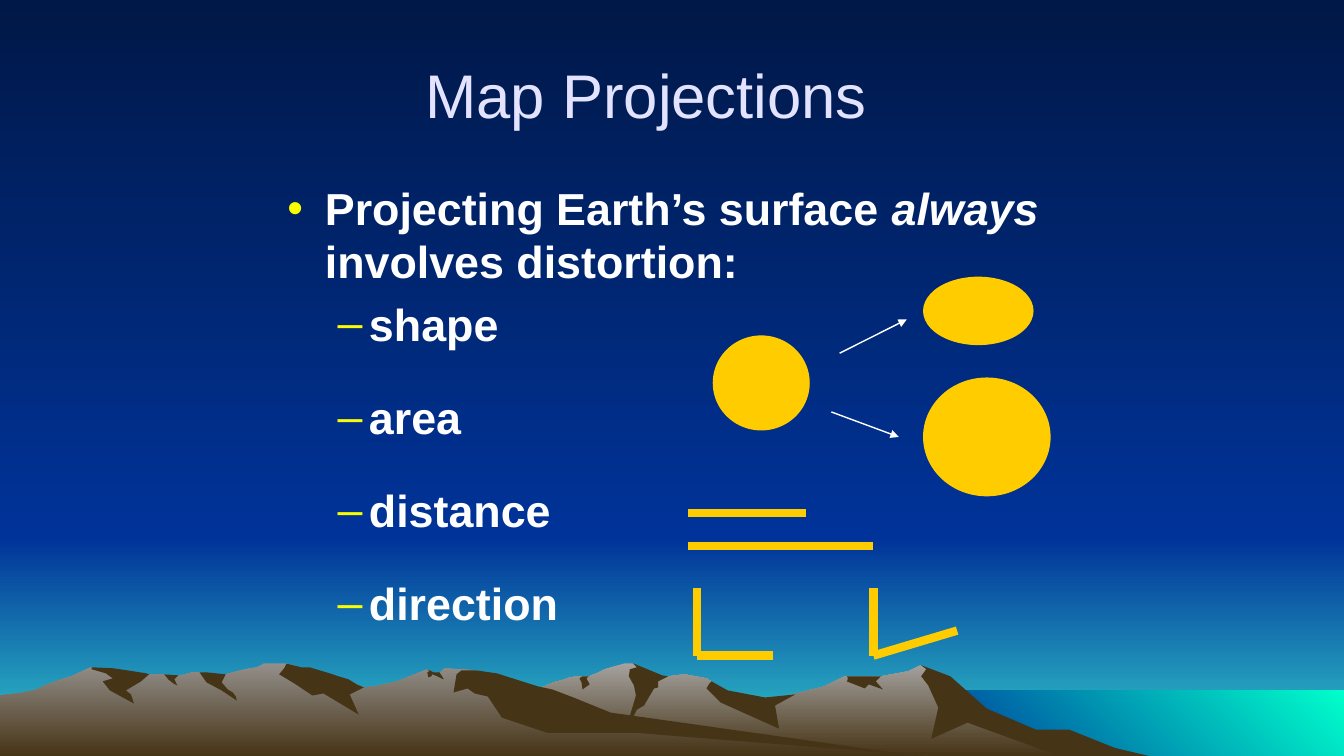
from dataclasses import dataclass
from typing import NamedTuple

from lxml.etree import SubElement
from pptx import Presentation
from pptx.dml.color import RGBColor
from pptx.enum.shapes import MSO_CONNECTOR, MSO_SHAPE
from pptx.enum.text import MSO_ANCHOR, PP_ALIGN
from pptx.oxml.ns import qn
from pptx.util import Cm, Pt


@dataclass(frozen=True)
class Theme:
    font: str = "Arial"
    title_size: float = 44
    body_size: float = 32
    title: str = "E3E3FF"
    text: str = "FFFFFF"
    bullet: str = "FAFD00"
    figure: str = "FFCC00"
    night: str = "001847"
    blue: str = "003399"
    horizon: str = "33CCCC"
    water: str = "00FFCC"
    far_rock: str = "A5A29F"
    near_rock: str = "938F8B"
    earth: str = "463416"


class Box(NamedTuple):
    left: float
    top: float
    width: float
    height: float


THEME = Theme()
SLIDE = Box(0, 0, 33.87, 19.05)
DOWN = 270
UP_RIGHT = 45

# Outlines in hundredths of an inch from the top left of the scenery.
MOUNTAIN_UNIT = Cm(0.0254)
FAR_RIDGE = [
    (1069, 740), (1038, 727), (1018, 723), (964, 698), (935, 671), (913, 660), (901, 666), (874, 671),
    (838, 671), (818, 681), (755, 697), (715, 690), (706, 676), (701, 673), (679, 669), (663, 671),
    (647, 673), (632, 661), (628, 658), (620, 658), (600, 664), (598, 665), (592, 668), (584, 671),
    (573, 671), (566, 672), (557, 675), (549, 677), (540, 681), (533, 683), (527, 684), (473, 698),
    (436, 709), (369, 739), (344, 750), (1094, 750)]
FAR_SHADOWS = [
    [(1061, 724), (1028, 724), (979, 703), (943, 671), (914, 660), (919, 664), (914, 671), (921, 680),
     (931, 702), (924, 733), (960, 717), (1051, 750), (1140, 750), (1106, 742)],
    [(628, 658), (632, 662), (625, 664), (624, 671), (629, 680), (631, 690), (620, 727), (632, 704),
     (639, 700), (649, 683), (653, 682), (653, 676), (663, 671), (657, 670)],
    [(706, 676), (704, 678), (701, 683), (715, 697), (773, 723), (769, 700), (789, 689), (759, 692),
     (722, 685)],
    [(866, 671), (840, 671), (841, 672), (841, 675), (840, 676), (858, 683), (862, 679), (876, 684),
     (869, 676), (874, 671)],
    [(577, 677), (575, 673), (578, 671), (584, 671), (585, 670), (582, 673), (585, 679), (578, 684)],
]
NEAR_RIDGE = [
    (920, 750), (890, 748), (576, 712), (472, 665), (441, 663), (436, 668), (430, 668), (424, 664),
    (394, 676), (372, 681), (361, 682), (346, 676), (314, 681), (297, 663), (292, 660), (287, 659),
    (282, 658), (262, 658), (259, 660), (255, 662), (248, 663), (239, 665), (224, 669), (213, 671),
    (198, 667), (191, 667), (176, 671), (170, 671), (163, 669), (148, 669), (126, 671), (90, 662),
    (75, 669), (71, 671), (61, 674), (47, 679), (34, 685), (18, 688), (0, 690), (0, 750)]
NEAR_SHADOWS = [
    [(282, 663), (277, 669), (292, 678), (310, 690), (321, 688), (356, 709), (347, 689), (361, 682),
     (354, 679), (346, 674), (336, 671), (327, 668), (317, 665), (307, 662), (299, 662), (287, 659),
     (284, 659)],
    [(493, 668), (472, 665), (458, 665), (453, 669), (450, 687), (464, 683), (471, 688), (484, 691),
     (498, 712), (543, 727), (630, 727), (920, 750), (911, 750), (606, 707), (569, 692), (548, 684),
     (534, 681), (515, 675)],
    [(424, 667), (426, 666), (424, 664), (430, 667), (436, 667), (440, 673), (440, 674), (434, 671),
     (429, 669), (428, 671), (425, 672)],
    [(205, 667), (224, 669), (220, 677), (226, 684), (231, 687), (234, 691), (235, 695), (220, 685),
     (205, 677), (198, 667)],
    [(177, 670), (173, 674), (176, 680), (172, 678), (167, 674), (163, 669)],
    [(145, 668), (148, 669), (140, 676), (125, 685), (130, 689), (133, 698), (109, 685), (102, 676),
     (112, 673), (105, 668), (91, 664), (91, 662), (112, 663), (126, 665)],
]


def color(value):
    return RGBColor.from_string(value)


def paint(fill, first, last=None, angle=DOWN):
    """Fill with one colour, or with a gradient when a last colour is given."""
    if last is None:
        fill.solid()
        fill.fore_color.rgb = color(first)
        return
    fill.gradient()
    fill.gradient_angle = angle
    for stop, value in zip(fill.gradient_stops, (first, last)):
        stop.color.rgb = color(value)


def add_preset(slide, kind, box, *colors, angle=DOWN):
    shape = slide.shapes.add_shape(kind, *map(Cm, box))
    shape.shadow.inherit = False
    paint(shape.fill, *colors, angle=angle)
    shape.line.fill.background()
    return shape


def add_outline(slide, box, points, *colors):
    builder = slide.shapes.build_freeform(*points[0], scale=MOUNTAIN_UNIT)
    builder.add_line_segments(points[1:], close=True)
    shape = builder.convert_to_shape(Cm(box.left), Cm(box.top))
    shape.shadow.inherit = False
    paint(shape.fill, *colors)
    shape.line.fill.background()


def add_line(slide, box, start, end, line_color, width, arrow=False):
    (x1, y1), (x2, y2) = start, end
    connector = slide.shapes.add_connector(
        MSO_CONNECTOR.STRAIGHT, Cm(box.left + x1), Cm(box.top + y1), Cm(box.left + x2), Cm(box.top + y2))
    connector.line.color.rgb = color(line_color)
    connector.line.width = Pt(width)
    properties = connector.element.spPr
    if arrow:
        SubElement(properties.find(qn("a:ln")), qn("a:tailEnd"), type="triangle")
    SubElement(properties, qn("a:effectLst"))


def add_scenery(slide, box):
    horizon = 13.54
    paint(slide.background.fill, THEME.night, THEME.blue)
    for top, height, first, last in (
            (horizon, box.height - horizon, THEME.blue, THEME.horizon),
            (0, horizon, THEME.night, THEME.blue)):
        add_preset(slide, MSO_SHAPE.RECTANGLE, Box(box.left, box.top + top, box.width, height), first, last)
    water = Box(box.left + 23.14, box.top + 17.39, box.width - 23.14, box.height - 17.39)
    add_preset(slide, MSO_SHAPE.RECTANGLE, water, THEME.blue, THEME.water, angle=UP_RIGHT)
    for ridge, rock, shadows in ((FAR_RIDGE, THEME.far_rock, FAR_SHADOWS),
                                 (NEAR_RIDGE, THEME.near_rock, NEAR_SHADOWS)):
        add_outline(slide, box, ridge, rock, THEME.earth)
        for shadow in shadows:
            add_outline(slide, box, shadow, THEME.earth)


def add_text_frame(slide, box):
    frame = slide.shapes.add_textbox(*map(Cm, box)).text_frame
    frame.word_wrap = True
    return frame


def add_run(paragraph, text, size, text_color, bold=False, italic=False):
    run = paragraph.add_run()
    run.text = text
    font = run.font
    font.name, font.size, font.bold, font.italic = THEME.font, Pt(size), bold, italic
    font.color.rgb = color(text_color)


def add_title(slide, box):
    frame = add_text_frame(slide, box)
    frame.vertical_anchor = MSO_ANCHOR.MIDDLE
    paragraph = frame.paragraphs[0]
    paragraph.alignment = PP_ALIGN.CENTER
    add_run(paragraph, "Map Projections", THEME.title_size, THEME.title)


def set_bullet(paragraph, character, margin, hanging):
    properties = paragraph._p.get_or_add_pPr()
    properties.set("marL", str(Cm(margin)))
    properties.set("indent", str(-Cm(hanging)))
    bullet_color = SubElement(properties, qn("a:buClr"))
    SubElement(bullet_color, qn("a:srgbClr"), val=THEME.bullet)
    SubElement(properties, qn("a:buFont"), typeface=THEME.font)
    SubElement(properties, qn("a:buChar"), char=character)


def add_distortion_list(slide, box):
    frame = add_text_frame(slide, box)
    statement = frame.paragraphs[0]
    set_bullet(statement, "•", 0.95, 0.95)
    statement.line_spacing = Pt(38)
    for text, italic in (("Projecting Earth’s surface ", False), ("always", True),
                         (" involves distortion:", False)):
        add_run(statement, text, THEME.body_size, THEME.text, True, italic)
    for index, text in enumerate(("shape", "area", "distance", "direction")):
        paragraph = frame.add_paragraph()
        paragraph.level = 1
        set_bullet(paragraph, "–", 2.06, 0.79)
        paragraph.line_spacing = Pt(38)
        paragraph.space_before = Pt(28.5 if index else 6.5)
        add_run(paragraph, text, THEME.body_size, THEME.text, True)


def add_distortion_figures(slide, box):
    for left, top, width, height in ((0.63, 1.48, 2.41, 2.36), (5.93, 0, 2.75, 1.69), (5.93, 2.54, 3.18, 2.96)):
        ellipse = add_preset(slide, MSO_SHAPE.OVAL, Box(box.left + left, box.top + top, width, height), THEME.figure)
        ellipse.line.color.rgb = color(THEME.figure)
        ellipse.line.width = Pt(1)
    for length, top in ((2.96, 5.93), (4.66, 6.77)):
        add_line(slide, box, (0, top), (length, top), THEME.figure, 6)
    for start, end in (((3.81, 1.91), (5.5, 1.06)), ((3.6, 3.39), (5.3, 4.02))):
        add_line(slide, box, start, end, THEME.text, 1, arrow=True)
    for left, end in ((0.21, (2.12, 9.53)), (4.66, (6.77, 8.9))):
        corner = (left, 9.53)
        add_line(slide, box, (left, 7.83), corner, THEME.figure, 6)
        add_line(slide, box, corner, end, THEME.figure, 6)


def main():
    presentation = Presentation()
    presentation.slide_width, presentation.slide_height = Cm(SLIDE.width), Cm(SLIDE.height)
    slide = presentation.slides.add_slide(presentation.slide_layouts[6])
    add_scenery(slide, SLIDE)
    add_title(slide, Box(5.51, 1.07, 21.56, 2.57))
    add_distortion_list(slide, Box(6.99, 4.45, 21.16, 12.27))
    add_distortion_figures(slide, Box(17.35, 6.99, 9.11, 9.53))
    presentation.save("out.pptx")


if __name__ == "__main__":
    main()
